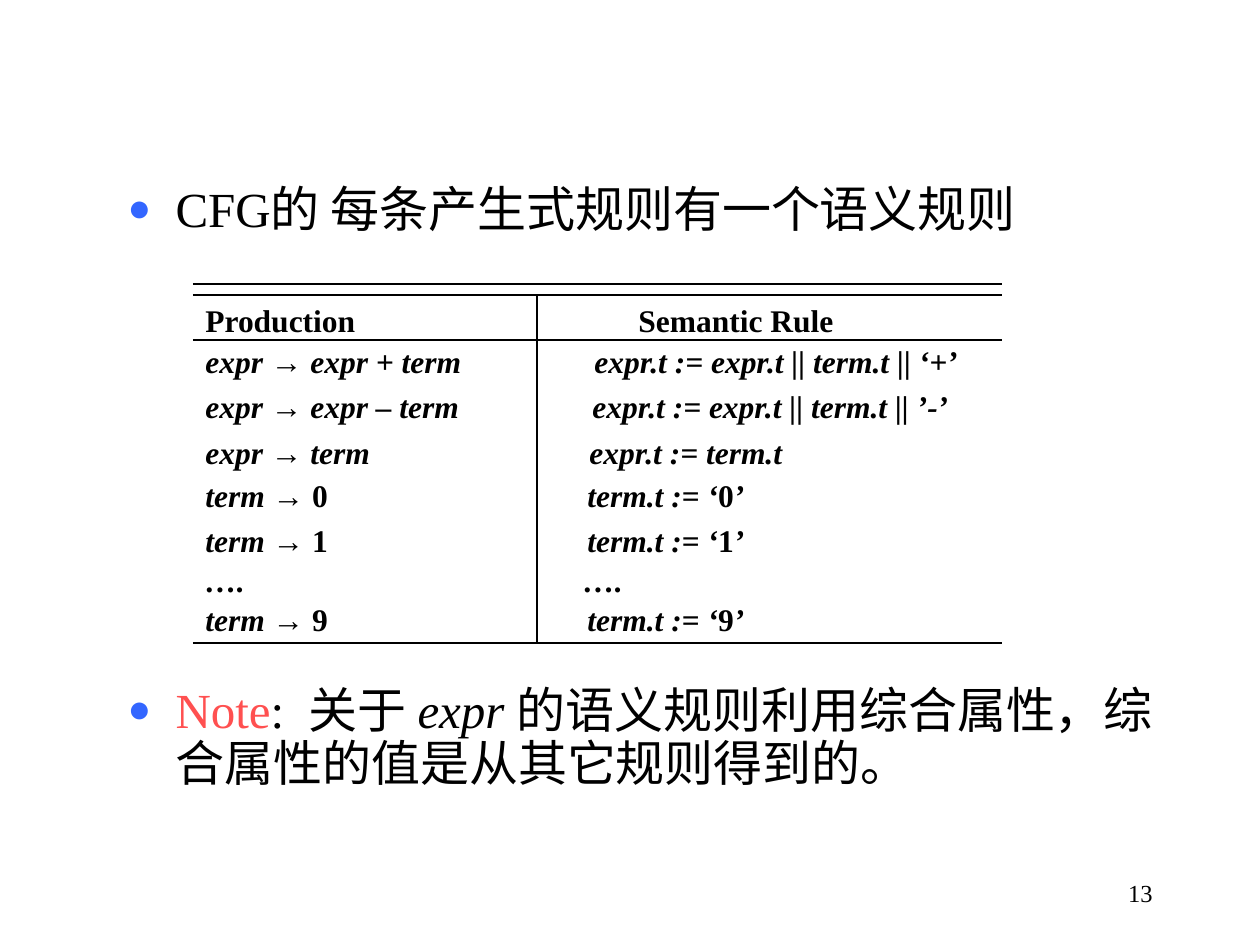
from itertools import groupby

from lxml.etree import SubElement
from pptx import Presentation
from pptx.dml.color import RGBColor
from pptx.enum.shapes import MSO_CONNECTOR
from pptx.enum.text import MSO_ANCHOR, MSO_AUTO_SIZE, PP_ALIGN
from pptx.oxml.ns import qn
from pptx.util import Inches, Pt

SERIF = "Times New Roman"
BLACK = "000000"
LEFT, DIVIDER, RIGHT = 193, 537, 1002
TOP, HEADER_BOTTOM, BOTTOM = 295, 340, 643
RULES = (
    ("Production", "Semantic Rule", 433, 1),
    ("expr → expr + term", "expr.t := expr.t || term.t || ‘+’", 389, 0.5),
    ("expr → expr – term", "expr.t := expr.t || term.t || ’-’", 387, 0.7),
    ("expr → term", "expr.t := term.t", 384, 0.7),
    ("term → 0", "term.t := ‘0’", 382, 0.6),
    ("term → 1", "term.t := ‘1’", 382, 0.7),
    ("….", "….", 378, 0.5),
    ("term → 9", "term.t := ‘9’", 382, 0.5),
)


def px(count):
    """Turn pixels into EMU."""
    return round(count * Inches(1) / 126)


def colour(value):
    """Turn a hex string into a colour."""
    return RGBColor.from_string(value)


def add_span(para, text, size, shade=BLACK, italic=False, bold=False, name=SERIF):
    """Add one formatted run to a paragraph."""
    span = para.add_run()
    span.text = text
    font = span.font
    font.name, font.size = name, Pt(size)
    font.italic, font.bold = italic, bold
    font.color.rgb = colour(shade)


def add_box(page, left, top, width, height):
    """Add a wrapping text box and return its text frame."""
    box = page.shapes.add_textbox(*map(px, (left, top, width, height)))
    box.text_frame.word_wrap = True
    return box.text_frame


def add_line(page, *ends):
    """Add a thin black line between two points."""
    line = page.shapes.add_connector(MSO_CONNECTOR.STRAIGHT, *map(px, ends))
    line.line.color.rgb = colour(BLACK)
    line.line.width = Pt(0.75)
    SubElement(line._element.spPr, qn("a:effectLst"))


def set_bullet(para):
    """Give a paragraph a blue round bullet and a hanging indent."""
    props = para._p.get_or_add_pPr()
    props.set("marL", str(px(48)))
    props.set("indent", str(-px(48)))
    shade = SubElement(props, qn("a:buClr"))
    SubElement(shade, qn("a:srgbClr"), val="3366FF")
    SubElement(props, qn("a:buSzPct"), val="80000")
    SubElement(props, qn("a:buFont"), typeface=SERIF)
    SubElement(props, qn("a:buChar"), char="●")


def set_tab(para, position):
    """Give a paragraph one left tab stop."""
    tabs = SubElement(para._p.get_or_add_pPr(), qn("a:tabLst"))
    SubElement(tabs, qn("a:tab"), pos=str(px(position)), algn="l")


def fill_body(body):
    """Place the body and write its two bullet points."""
    body.left, body.top, body.width, body.height = map(px, (115, 179, 1071, 714))
    frame = body.text_frame
    frame.auto_size = MSO_AUTO_SIZE.NONE
    first, note = frame.paragraphs[0], frame.add_paragraph()
    for para, gap in ((first, 0), (note, 256)):
        para.line_spacing = 0.9
        para.space_before = Pt(gap)
        set_bullet(para)
    add_span(first, "CFG的 每条产生式规则有一个语义规则", 28)
    add_span(note, "Note", 28, "FF5050")
    add_span(note, ":  关于 ", 28)
    add_span(note, "expr ", 28, italic=True)
    add_span(note, "的语义规则利用综合属性，综合属性的值是从其它规则得到的。", 28)


def write_rule(para, text):
    """Write a grammar rule with upright arrows and digits."""
    for upright, letters in groupby(text, lambda c: c == "→" or c.isdigit()):
        piece = "".join(letters)
        name = "Arial" if piece == "→" else SERIF
        add_span(para, piece, 18, italic=not upright, bold=True, name=name)


def add_rules(page):
    """Add the productions with their semantic rules at tab stops."""
    frame = add_box(page, LEFT, TOP, 955, BOTTOM - TOP)
    for index, (production, meaning, tab, spacing) in enumerate(RULES):
        para = frame.add_paragraph() if index else frame.paragraphs[0]
        para.line_spacing = spacing
        para.space_before = Pt(11.2 if index else 0)
        set_tab(para, tab)
        text = f"{production}\t{meaning}"
        if index:
            write_rule(para, text)
        else:
            add_span(para, text, 18, bold=True)


def add_page_number(page):
    """Add the page number at the lower right."""
    frame = add_box(page, 903, 861, 262, 63)
    frame.vertical_anchor = MSO_ANCHOR.MIDDLE
    para = frame.paragraphs[0]
    para.alignment = PP_ALIGN.RIGHT
    add_span(para, "13", 14)


def main():
    """Build the slide and save it."""
    deck = Presentation()
    deck.slide_width, deck.slide_height = px(1260), px(945)
    page = deck.slides.add_slide(deck.slide_layouts[1])
    title = page.shapes.title._element
    title.getparent().remove(title)
    fill_body(page.placeholders[1])
    add_rules(page)
    for height in (TOP, TOP - 11, BOTTOM, HEADER_BOTTOM):
        add_line(page, LEFT, height, RIGHT, height)
    add_line(page, DIVIDER, TOP, DIVIDER, BOTTOM)
    add_page_number(page)
    deck.save("out.pptx")


if __name__ == "__main__":
    main()
